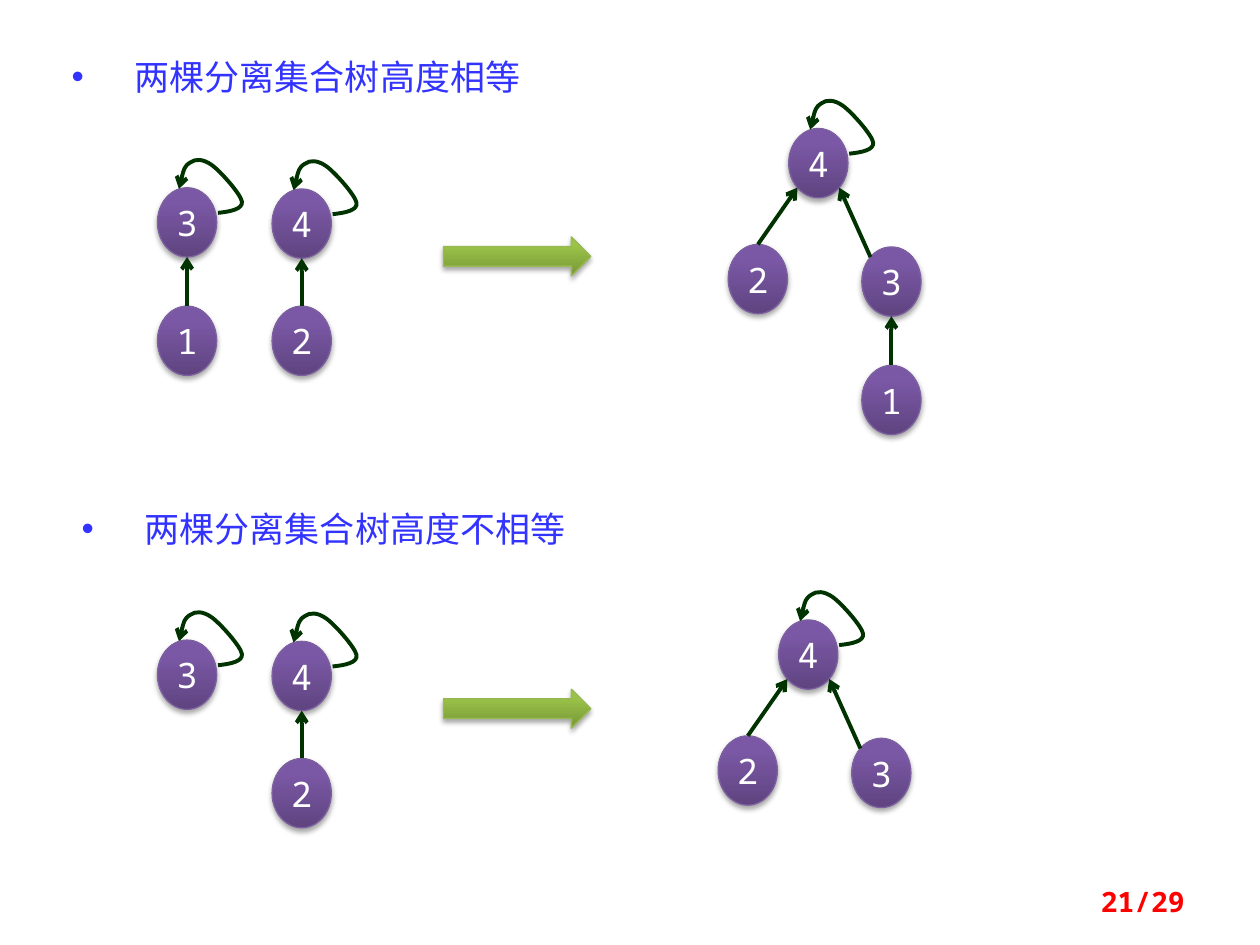
from lxml import etree
from pptx import Presentation
from pptx.dml.color import RGBColor
from pptx.enum import shapes, text
from pptx.oxml import parse_xml
from pptx.oxml.ns import nsdecls, qn
from pptx.util import Inches, Pt

HUES = {"low": "5F4480", "high": "7B58A6", "rim": "7D60A0",
        "leaf": "779737", "lime": "9BC348", "edge": "98B955",
        "link": "003300", "head": "3333FF", "page": "FF0000", "white": "FFFFFF"}
MONO, SANS = "Noto Sans Mono", "Noto Sans CJK SC"

# The slide is a grid of 100 columns and 75 rows, each a tenth of an inch
CELL = Inches(10) // 100
NODE_W, NODE_H = 4.7, 5.5
SLANT = 0.5 ** 0.5 / 2  # share of a node from its centre to a diagonal point

# Self-loop of a root: a start, then three points for each curve
LOOP = [(4.8, 2), (5.8, 1.9), (6.8, 1.7), (6.7, 1.1), (6.6, 0.5), (5, -1.3),
        (4.3, -1.8), (3.6, -2.3), (3, -2.3), (2.6, -2), (2.1, -1.7),
        (1.9, -0.8), (1.7, 0.1)]


def grid(*vals):
    return [round(v * CELL) for v in vals]


def hue(name):
    return RGBColor.from_string(HUES[name])


def style(run, font, size, tint, bold=False):
    run.font.name, run.font.size, run.font.bold = font, Pt(size), bold
    run.font.color.rgb = hue(tint)
    etree.SubElement(run._r.rPr, qn("a:ea"), typeface=font)


def solid(slide, kind, box, low, high, rim):
    """A preset shape with a vertical gradient and a soft shadow."""
    part = slide.shapes.add_shape(kind, *grid(*box))
    part.fill.gradient()
    part.fill.gradient_angle = 90
    first, last = part.fill.gradient_stops
    first.color.rgb, last.color.rgb = hue(low), hue(high)
    first.position, last.position = 0, 0.8
    part.line.color.rgb, part.line.width = hue(rim), Pt(0.75)
    part.shadow.inherit = False
    part._element.spPr.find(qn("a:effectLst")).append(parse_xml(
        f'<a:outerShdw {nsdecls("a")} blurRad="{Pt(3.1)}" dist="{Pt(1.8)}" '
        'dir="5400000" rotWithShape="0"><a:srgbClr val="000000">'
        '<a:alpha val="35000"/></a:srgbClr></a:outerShdw>'))
    return part


def stroke(part):
    """The dark line with an open arrowhead at its end."""
    part.line.color.rgb, part.line.width = hue("link"), Pt(2.25)
    etree.SubElement(part.line._get_or_add_ln(), qn("a:tailEnd"), type="arrow")


def node(slide, x, y, label):
    part = solid(slide, shapes.MSO_SHAPE.OVAL, (x, y, NODE_W, NODE_H),
                 "low", "high", "rim")
    frame = part.text_frame
    frame.margin_left = frame.margin_right = 0
    frame.vertical_anchor = text.MSO_ANCHOR.MIDDLE
    frame.text = label
    para = frame.paragraphs[0]
    para.alignment = text.PP_ALIGN.CENTER
    style(para.runs[0], MONO, 20, "white")
    return part


def loop(slide, x, y):
    spots = [grid(x + dx, y + dy) for dx, dy in LOOP]
    pen = slide.shapes.build_freeform(*spots[0])
    pen.add_line_segments(spots[1:], close=False)
    part = pen.convert_to_shape()
    part.fill.background()
    part.shadow.inherit = False
    stroke(part)
    # Join each three line points into one curve
    track = part._element.find(".//" + qn("a:path"))
    legs = track.findall(qn("a:lnTo"))
    for i in range(0, len(legs), 3):
        curve = etree.SubElement(track, qn("a:cubicBezTo"))
        for leg in legs[i:i + 3]:
            curve.append(leg[0])
            track.remove(leg)


def link(slide, kid, top):
    """An arrow from a child to its parent, slanted if they are not in line."""
    def mid(part):
        return part.left + part.width // 2, part.top + part.height // 2

    (kx, ky), (tx, ty) = mid(kid), mid(top)
    dx, dy = grid(NODE_W * SLANT, NODE_H * SLANT)
    start, end = (kx, kid.top), (tx, top.top + top.height)
    if kx < tx:
        end = tx - dx, ty + dy
    elif kx > tx:
        start, end = (kx - dx, ky - dy), (tx + dx, ty + dy)
    line = slide.shapes.add_connector(shapes.MSO_CONNECTOR.STRAIGHT, *start, *end)
    if start[0] == kx:
        line.begin_connect(kid, 0)
    stroke(line)
    etree.SubElement(line._element.spPr, qn("a:effectLst"))


def tree(slide, x, y, spots):
    """Spots hold label, parent, and offset from the root at x, y."""
    made = {}
    for label, top, dx, dy in spots:
        made[label] = node(slide, x + dx, y + dy, label)
        if top:
            link(slide, made[label], made[top])
        else:
            loop(slide, x, y)


def words(slide, box, label, font, size, tint, bold=False):
    frame = slide.shapes.add_textbox(*grid(*box)).text_frame
    frame.word_wrap = True
    frame.text = label
    para = frame.paragraphs[0]
    style(para.runs[0], font, size, tint, bold)
    return frame, para


def head(slide, x, y, label):
    _, para = words(slide, (x, y, 42.2, 4.4), label, SANS, 20, "head")
    props = para._p.get_or_add_pPr()
    props.set("marL", str(Inches(0.5)))
    props.set("indent", str(-Inches(0.5)))
    etree.SubElement(props, qn("a:buFont"), typeface="Arial")
    etree.SubElement(props, qn("a:buChar"), char="•")


def case(slide, y, title, left, right, goal):
    """Heading, two trees, an arrow and the merged tree below row y."""
    head(slide, title[0], y, title[1])
    tree(slide, 12.5, y + 11, left)
    tree(slide, 21.6, y + 11.1, right)
    solid(slide, shapes.MSO_SHAPE.RIGHT_ARROW, (35.2, y + 14.9, 11.7, 3.1),
          "leaf", "lime", "edge")
    tree(slide, *goal)


def page(slide, label):
    frame, para = words(slide, (71.7, 69.5, 23.3, 4), label, MONO, 16, "page", True)
    frame.vertical_anchor = text.MSO_ANCHOR.MIDDLE
    para.alignment = text.PP_ALIGN.RIGHT


def main():
    deck = Presentation()
    deck.slide_width, deck.slide_height = grid(100, 75)
    slide = deck.slides.add_slide(deck.slide_layouts[6])
    three, four = ("3", None, 0, 0), ("4", None, 0, 0)
    pair = [four, ("2", "4", 0, 9.3)]
    fork = [four, ("2", "4", -4.8, 9.2), ("3", "4", 5.8, 9.4)]
    # Equal heights: the merged tree grows by one level
    case(slide, 3.9, (4.7, "两棵分离集合树高度相等"),
         [three, ("1", "3", 0, 9.4)], pair,
         (62.6, 10.2, fork + [("1", "3", 5.8, 18.8)]))
    # Unequal heights: the lower tree hangs from the taller one
    case(slide, 39.8, (5.5, "两棵分离集合树高度不相等"), [three], pair,
         (61.8, 49.2, fork))
    page(slide, "21/29")
    deck.save("out.pptx")


if __name__ == "__main__":
    main()
